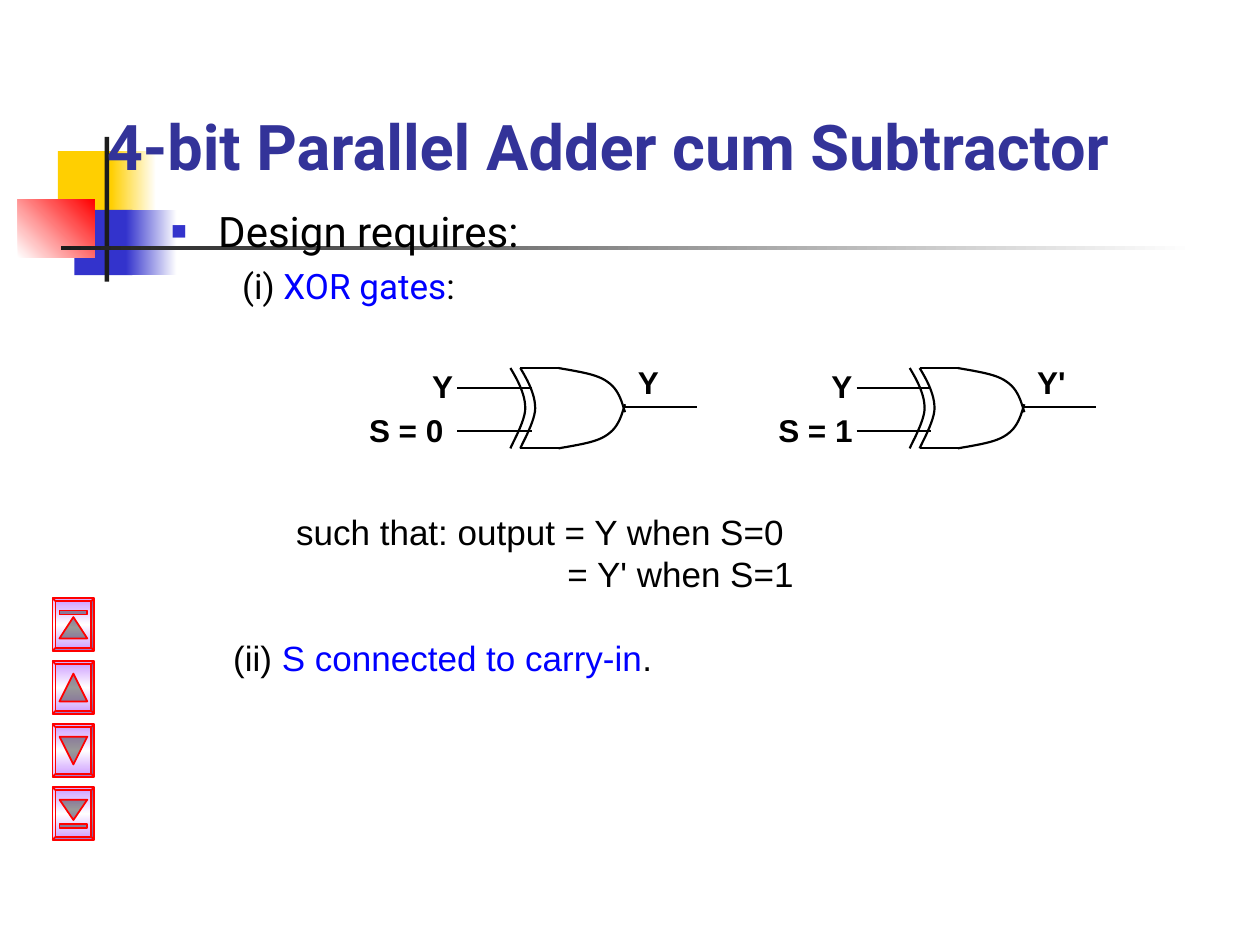
from lxml import etree
from pptx import Presentation
from pptx.dml.color import RGBColor
from pptx.enum.shapes import MSO_CONNECTOR, MSO_SHAPE
from pptx.enum.text import MSO_ANCHOR
from pptx.oxml.ns import qn
from pptx.util import Cm, Pt

# Content
TITLE = "4-bit Parallel Adder cum Subtractor"
BLACK, BLUE, RED = "000000", "0000FF", "FF0000"

# Each paragraph: left margin, first-line indent (cm), space before (pt), size, bullet, runs
REQUIRES = [
    (0.97, -0.97, 0, 24, "▪", [("Design requires:", BLACK)]),
    (1.45, 0, 5, 20, None, [("(i) ", BLACK), ("XOR gates", BLUE), (":", BLACK)]),
]
RESULT = [
    (2.54, 0, 0, 20, None, [("such that: output = Y when S=0", BLACK)]),
    (8.01, 0, 0, 20, None, [("= Y' when S=1", BLACK)]),
    (1.27, 0, 24, 20, None, [("(ii) ", BLACK), ("S connected to carry-in", BLUE), (".", BLACK)]),
]

# Decoration: box in cm, colours of the fill, gradient angle
DECOR = [
    ((1.17, 3.05, 1.22, 1.32), ["FFCF01"], 0),
    ((2.24, 3.05, 0.91, 1.32), ["FFCF01", "FFFFFF"], 0),
    ((1.5, 4.23, 1.17, 1.32), ["3333CC"], 0),
    ((2.54, 4.23, 1.02, 1.32), ["3333CC", "FFFFFF"], 0),
    ((0.36, 4.02, 1.55, 1.17), ["FFFFFF", RED], 315),
    ((2.11, 2.76, 0.09, 2.92), ["1C1C1C"], 0),
    ((1.23, 4.95, 22.86, 0.09), ["1C1C1C", "FFFFFF"], 0),
]

# Gates: left edge, select label, its offset from the left edge, output label
GATES = [(10.29, "S = 0", -3.1, "Y"), (18.34, "S = 1", -2.9, "Y'")]
GATE_TOP, GATE_BOTTOM = 7.42, 9.04
ARC = [(0, 7.42), (0.15, 7.67), (0.3, 7.95), (0.3, 8.23),
       (0.3, 8.48), (0.05, 8.92), (0, 9.04)]
NOSE = [(0.97, 7.42), (1.35, 7.49), (1.75, 7.54), (1.96, 7.7),
        (2.18, 7.85), (2.24, 8.08), (2.31, 8.31)]
WIRES = [(0.2, GATE_TOP, 0.97), (0.2, GATE_BOTTOM, 0.97),
         (-1.07, 7.82, 0.43), (-1.07, 8.69, 0.43), (2.26, 8.2, 3.76)]

# Buttons: triangle top and height, points down, top of the bar
BUTTONS = [(0.38, 0.43, False, 0.25), (0.25, 0.56, False, None),
           (0.25, 0.56, True, None), (0.25, 0.41, True, 0.74)]


def rgb(color):
    return RGBColor.from_string(color)


def paint(sp, colors, angle=0, line=None):
    """Fill with one colour or an even gradient, with an optional outline."""
    sp.shadow.inherit = False
    if len(colors) == 1:
        sp.fill.solid()
        sp.fill.fore_color.rgb = rgb(colors[0])
    else:
        sp.fill.gradient()
        sp.fill.gradient_angle = (360 - angle) % 360
        stops = sp._element.spPr.find(qn("a:gradFill")).find(qn("a:gsLst"))
        for gs in list(stops):
            stops.remove(gs)
        for i, color in enumerate(colors):
            gs = etree.SubElement(stops, qn("a:gs"), pos=str(100000 * i // (len(colors) - 1)))
            etree.SubElement(gs, qn("a:srgbClr"), val=color)
    if line:
        sp.line.color.rgb = rgb(line)
        sp.line.width = Pt(1)
    else:
        sp.line.fill.background()


def add_box(kind, box, colors, angle=0, line=None):
    sp = s.shapes.add_shape(kind, *map(Cm, box))
    paint(sp, colors, angle, line)
    return sp


def add_run(p, text, size, color, font, bold=False):
    r = p.add_run()
    r.text = text
    r.font.size, r.font.name, r.font.bold = Pt(size), font, bold
    r.font.color.rgb = rgb(color)


def add_text(box, paragraphs, font, bold=False):
    tf = s.shapes.add_textbox(*map(Cm, box)).text_frame
    tf.word_wrap = True
    for i, (margin, indent, before, size, bullet, runs) in enumerate(paragraphs):
        p = tf.paragraphs[0] if i == 0 else tf.add_paragraph()
        pPr = p._p.get_or_add_pPr()
        pPr.set("marL", str(Cm(margin)))
        pPr.set("indent", str(Cm(indent)))
        if before:
            p.space_before = Pt(before)
        if bullet:
            color = etree.SubElement(pPr, qn("a:buClr"))
            etree.SubElement(color, qn("a:srgbClr"), val="3333CC")
            etree.SubElement(pPr, qn("a:buSzPct"), val="120000")
            etree.SubElement(pPr, qn("a:buFont"), typeface="Arial")
            etree.SubElement(pPr, qn("a:buChar"), char=bullet)
        for text, color in runs:
            add_run(p, text, size, color, font, bold)


def add_label(text, x, y, w):
    add_text((x, y, w, 1.02), [(0, 0, 0, 18, None, [(text, BLACK)])], "Arial", True)


def add_wire(x1, y, x2):
    c = s.shapes.add_connector(MSO_CONNECTOR.STRAIGHT, Cm(x1), Cm(y), Cm(x2), Cm(y))
    c.line.color.rgb = rgb(BLACK)
    c.line.width = Pt(1.25)
    etree.SubElement(c._element.spPr, qn("a:effectLst"))


def add_curve(points, dx, steps=12):
    """Draw a chain of cubic Bézier segments, shifted right by dx."""
    track = [points[0]]
    for i in range(0, len(points) - 1, 3):
        for n in range(1, steps + 1):
            t = n / steps
            weights = ((1 - t) ** 3, 3 * t * (1 - t) ** 2, 3 * t * t * (1 - t), t ** 3)
            track.append([sum(w * pt[k] for w, pt in zip(weights, points[i:i + 4]))
                          for k in (0, 1)])
    track = [(Cm(x + dx), Cm(y)) for x, y in track]
    builder = s.shapes.build_freeform(*track[0])
    builder.add_line_segments(track[1:], close=False)
    sp = builder.convert_to_shape()
    sp.shadow.inherit = False
    sp.fill.background()
    sp.line.color.rgb = rgb(BLACK)
    sp.line.width = Pt(1.25)


prs = Presentation()
prs.slide_width, prs.slide_height = Cm(25.4), Cm(19.05)
s = prs.slides.add_slide(prs.slide_layouts[5])

# Decoration behind the title
for box, colors, angle in DECOR:
    add_box(MSO_SHAPE.RECTANGLE, box, colors, angle)

# Title
title = s.shapes.title
title.left, title.top, title.width, title.height = map(Cm, (1.9, 0.64, 23.06, 3.18))
s.shapes._spTree.append(title._element)
tf = title.text_frame
tf.vertical_anchor = MSO_ANCHOR.BOTTOM
p = tf.paragraphs[0]
p._p.get_or_add_pPr().set("algn", "l")
add_run(p, TITLE, 36, "333399", "Roboto", True)

# Body text
add_text((3.18, 4.01, 21.59, 2.54), REQUIRES, "Roboto")
add_text((3.18, 10.16, 21.39, 3.81), RESULT, "Arial")

# XOR gates
for x, select, select_dx, output in GATES:
    add_curve(ARC, x)
    add_curve(ARC, x + 0.2)
    add_curve(NOSE, x)
    add_curve([(px, GATE_TOP + GATE_BOTTOM - py) for px, py in NOSE], x)
    for x1, y, x2 in WIRES:
        add_wire(x + x1, y, x + x2)
    add_label("Y", x - 1.83, 7.28, 0.97)
    add_label(select, x + select_dx, 8.17, 2.24)
    add_label(output, x + 2.32, 7.19, 1.4)

# Navigation buttons
for i, (tri_top, tri_height, down, bar_top) in enumerate(BUTTONS):
    x, y = 1.06, 12.06 + 1.27 * i
    frame = add_box(MSO_SHAPE.BEVEL, (x, y, 0.84, 1.06), ["CC99FF", "FFFFFF", "CC99FF"], 90, RED)
    frame.adjustments[0] = 0.07
    tri = add_box(MSO_SHAPE.ISOSCELES_TRIANGLE, (x + 0.14, y + tri_top, 0.56, tri_height),
                  ["8A7A9A", "999999", "8A7A9A"], 90, RED)
    tri.rotation = 180 if down else 0
    if bar_top:
        add_box(MSO_SHAPE.RECTANGLE, (x + 0.14, y + bar_top, 0.56, 0.08), ["8A7A9A"], 0, RED)

prs.save("out.pptx")
